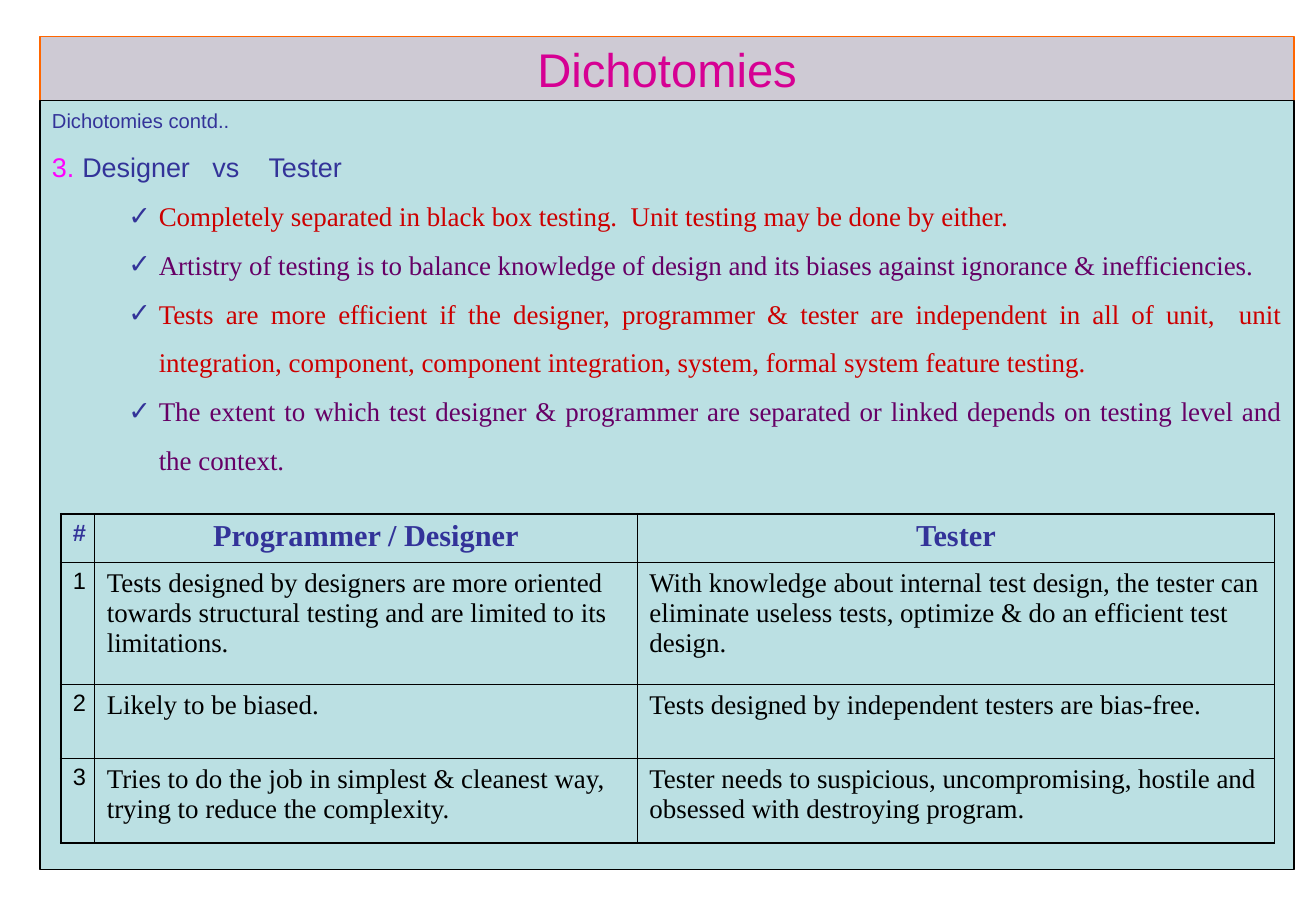
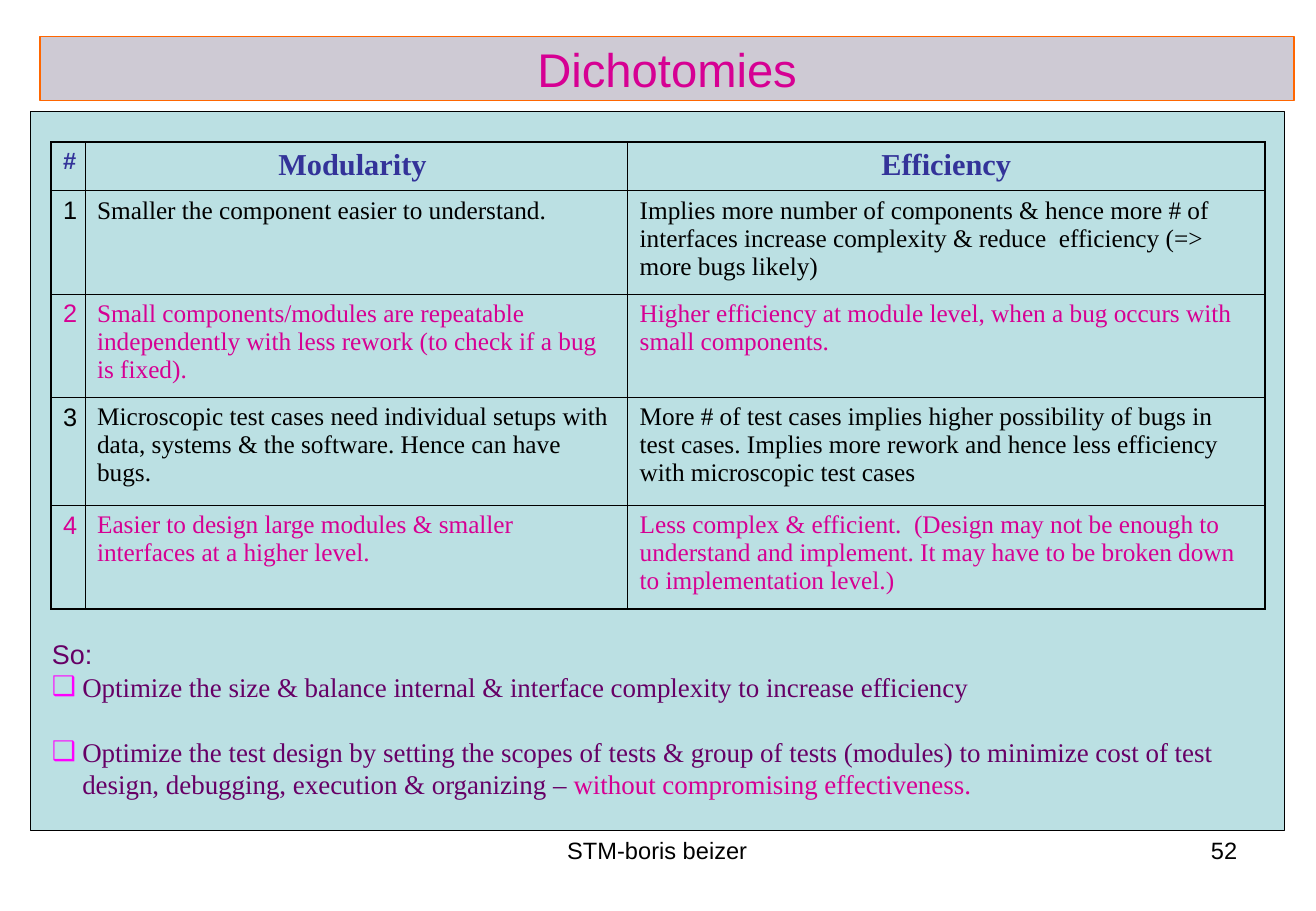
from dataclasses import dataclass

from lxml.etree import SubElement
from pptx import Presentation
from pptx.dml.color import RGBColor
from pptx.enum.shapes import MSO_SHAPE
from pptx.enum.text import MSO_ANCHOR, PP_ALIGN
from pptx.oxml.ns import qn
from pptx.util import Inches, Pt


# Theme: every colour, font and type size
@dataclass(frozen=True)
class Theme:
    sans: str = "Arial"
    serif: str = "Times New Roman"
    black: str = "000000"
    band: str = "CECAD4"
    band_line: str = "FF6600"
    panel: str = "BBE0E3"
    pink: str = "D60093"
    magenta: str = "FF00FF"
    blue: str = "333399"
    red: str = "CC0000"
    purple: str = "660066"
    title_size: int = 28
    heading_size: int = 18
    body_size: int = 16
    small_size: int = 14
    note_size: int = 12
    thin: float = 0.45
    thick: float = 1.08
    line_pitch: float = 19.3
    wide_pitch: float = 28.9


THEME = Theme()


@dataclass(frozen=True)
class Box:
    left: float
    top: float
    width: float
    height: float

    def lengths(self) -> tuple:
        return tuple(Inches(v) for v in (self.left, self.top, self.width, self.height))


@dataclass(frozen=True)
class Bullet:
    color: str
    mark: str = ""
    number: int = 0


@dataclass(frozen=True)
class Comparison:
    """A numbered table that sets two sides against each other."""
    left: float
    top: float
    heads: tuple
    rows: tuple
    row_heights: tuple
    colors: tuple
    number_size: int
    body_size: int


TITLE_BOX = Box(0.33, 0.3, 10.33, 0.53)
FOOTER_BOX = Box(3.7, 6.83, 3.43, 0.52)
NUMBER_BOX = Box(7.76, 6.83, 2.53, 0.52)
COLUMN_WIDTHS = (0.28, 4.47, 5.25)

CHECK = Bullet(THEME.blue, mark="✓")
SQUARE = Bullet(THEME.magenta, mark="❑")
THIRD = Bullet(THEME.magenta, number=3)

DESIGNER_POINTS = (
    "Completely separated in black box testing.  Unit testing may be done by either.",
    "Artistry of testing is to balance knowledge of design and its biases against "
    "ignorance & inefficiencies.",
    "Tests are more efficient if the designer, programmer & tester are independent in "
    "all of unit,  unit integration, component, component integration, system, formal "
    "system feature testing.",
    "The extent to which test designer & programmer are separated or linked depends on "
    "testing level and the context.",
)

DESIGNER_TABLE = Comparison(
    0.5, 4.23, ("#", "Programmer / Designer", "Tester"),
    (
        ("Tests designed by designers are more oriented towards structural testing and "
         "are limited to its limitations.",
         "With knowledge about internal test design, the tester can eliminate useless "
         "tests, optimize & do an efficient test design."),
        ("Likely to be biased.",
         "Tests designed by independent testers are bias-free."),
        ("Tries to do the job in simplest & cleanest way, trying to reduce the complexity.",
         "Tester needs to suspicious, uncompromising, hostile and obsessed with "
         "destroying program."),
    ),
    (0.4, 1, 0.61, 0.7), (THEME.black,), THEME.small_size, THEME.body_size)

MODULARITY_TABLE = Comparison(
    0.42, 1.17, ("#", "Modularity ", "Efficiency"),
    (
        ("Smaller the component easier to understand.",
         "Implies more number of components & hence more # of interfaces increase "
         "complexity & reduce  efficiency (=> more bugs likely)"),
        ("Small components/modules are repeatable independently with less rework (to "
         "check if a bug is fixed).",
         "Higher efficiency at module level, when a bug occurs with small components."),
        ("Microscopic test cases need individual setups with data, systems & the "
         "software. Hence can have bugs.",
         "More # of test cases implies higher possibility of bugs in test cases. Implies "
         "more rework and hence less efficiency with microscopic test cases"),
        ("Easier to design large modules & smaller interfaces at a higher level.",
         "Less complex & efficient.  (Design may not be enough to understand and "
         "implement. It may have to be broken down to implementation level.)"),
    ),
    (0.4, 0.85, 0.85, 0.89, 0.85), (THEME.black, THEME.pink), 15, 15)


# Text
def add_span(para, text: str, *, size: float, color: str, font: str = THEME.sans,
             bold: bool = False) -> None:
    span = para.add_run()
    span.text = text
    span.font.size = Pt(size)
    span.font.name = font
    span.font.bold = bold
    span.font.color.rgb = RGBColor.from_string(color)


def add_bullet(para, bullet: Bullet) -> None:
    properties = para._p.get_or_add_pPr()
    SubElement(SubElement(properties, qn("a:buClr")), qn("a:srgbClr"), val=bullet.color)
    SubElement(properties, qn("a:buFont"), typeface=THEME.sans)
    if bullet.number:
        SubElement(properties, qn("a:buAutoNum"), type="arabicPeriod",
                   startAt=str(bullet.number))
    else:
        SubElement(properties, qn("a:buChar"), char=bullet.mark)


def write(frame, text: str, *, size: float, color: str, font: str = THEME.sans,
          bold: bool = False, align: PP_ALIGN = PP_ALIGN.LEFT, before: float = 0,
          pitch: float = 0, indent: float = 0, bullet: Bullet | None = None):
    """Fill the first paragraph while it is empty, then add new ones."""
    para = frame.paragraphs[0]
    if para.runs:
        para = frame.add_paragraph()
    para.alignment = align
    para.space_before = Pt(before)
    if pitch:
        para.line_spacing = Pt(pitch)
    if bullet:
        properties = para._p.get_or_add_pPr()
        properties.set("marL", str(Inches(indent)))
        properties.set("indent", str(Inches(-0.25)))
        add_bullet(para, bullet)
    add_span(para, text, size=size, color=color, font=font, bold=bold)
    return para


# Parts shared by the slides
def add_text_box(page, box: Box):
    frame = page.shapes.add_textbox(*box.lengths()).text_frame
    frame.word_wrap = True
    return frame


def add_panel(page, box: Box, fill: str, line: str):
    panel = page.shapes.add_shape(MSO_SHAPE.RECTANGLE, *box.lengths())
    panel.shadow.inherit = False
    panel.fill.solid()
    panel.fill.fore_color.rgb = RGBColor.from_string(fill)
    panel.line.color.rgb = RGBColor.from_string(line)
    panel.line.width = Pt(0.75)
    return panel


def add_page(deck, panel_box: Box):
    page = deck.slides.add_slide(deck.slide_layouts[6])
    frame = add_panel(page, TITLE_BOX, THEME.band, THEME.band_line).text_frame
    frame.vertical_anchor = MSO_ANCHOR.MIDDLE
    write(frame, "Dichotomies", size=THEME.title_size, color=THEME.pink,
          align=PP_ALIGN.CENTER)
    add_panel(page, panel_box, THEME.panel, THEME.black)
    return page


def add_footer(page, number: str) -> None:
    for box, text, align in ((FOOTER_BOX, "STM-boris beizer", PP_ALIGN.CENTER),
                             (NUMBER_BOX, number, PP_ALIGN.RIGHT)):
        write(add_text_box(page, box), text, size=THEME.small_size,
              color=THEME.black, align=align)


# Tables
def add_borders(cell, outer: dict[str, bool]) -> None:
    properties = cell._tc.get_or_add_tcPr()
    for side, is_outer in outer.items():
        width = Pt(THEME.thick if is_outer else THEME.thin)
        line = SubElement(properties, qn(f"a:ln{side}"), w=str(width))
        SubElement(SubElement(line, qn("a:solidFill")), qn("a:srgbClr"), val=THEME.black)


def add_comparison(page, data: Comparison) -> None:
    numbered = [(str(i), *row) for i, row in enumerate(data.rows, 1)]
    content = [data.heads, *numbered]
    box = Box(data.left, data.top, sum(COLUMN_WIDTHS), sum(data.row_heights))
    table = page.shapes.add_table(len(content), len(COLUMN_WIDTHS), *box.lengths()).table
    table.first_row = table.horz_banding = False
    for column, width in zip(table.columns, COLUMN_WIDTHS):
        column.width = Inches(width)
    for row, height in zip(table.rows, data.row_heights):
        row.height = Inches(height)

    for r, texts in enumerate(content):
        head = r == 0
        color = THEME.blue if head else data.colors[(r - 1) % len(data.colors)]
        for c, text in enumerate(texts):
            if head:
                size = THEME.heading_size if c else THEME.small_size
            else:
                size = data.body_size if c else data.number_size
            cell = table.cell(r, c)
            add_borders(cell, {"L": c == 0, "R": c == len(texts) - 1,
                               "T": head, "B": r == len(content) - 1})
            cell.fill.background()
            write(cell.text_frame, text, size=size, color=color, bold=head,
                  font=THEME.serif if c else THEME.sans, before=size / 4,
                  align=PP_ALIGN.CENTER if head else PP_ALIGN.LEFT)


# Slides
def build_designer_page(deck) -> None:
    page = add_page(deck, Box(0.33, 0.83, 10.33, 6.33))
    frame = add_text_box(page, Box(0.33, 0.84, 10.33, 3.1))
    write(frame, "Dichotomies contd..", size=THEME.note_size, color=THEME.blue)
    write(frame, "Designer   vs    Tester", size=THEME.body_size, color=THEME.blue,
          before=11, indent=0.25, bullet=THIRD)
    for i, point in enumerate(DESIGNER_POINTS):
        write(frame, point, size=THEME.body_size, font=THEME.serif,
              color=(THEME.red, THEME.purple)[i % 2], align=PP_ALIGN.JUSTIFY,
              pitch=THEME.wide_pitch, indent=0.88, bullet=CHECK)
    add_comparison(page, DESIGNER_TABLE)


def build_modularity_page(deck) -> None:
    page = add_page(deck, Box(0.25, 0.92, 10.33, 5.92))
    add_footer(page, "52")
    frame = add_text_box(page, Box(0.33, 5.2, 10.33, 1.43))
    style = dict(size=THEME.body_size, color=THEME.purple, pitch=THEME.line_pitch)
    point = dict(style, font=THEME.serif, indent=0.25, bullet=SQUARE)
    write(frame, "So:", **style)
    write(frame, "Optimize the size & balance internal & interface complexity to "
          "increase efficiency", **point)
    para = write(frame, "Optimize the test design by setting the scopes of tests & group "
                 "of tests (modules) to minimize cost of test design, debugging, "
                 "execution & organizing – ", before=THEME.line_pitch, **point)
    add_span(para, "without compromising effectiveness.", size=THEME.body_size,
             color=THEME.pink, font=THEME.serif)
    add_comparison(page, MODULARITY_TABLE)


def main() -> None:
    deck = Presentation()
    deck.slide_width, deck.slide_height = Inches(10.84), Inches(7.5)
    build_designer_page(deck)
    build_modularity_page(deck)
    deck.save("out.pptx")


if __name__ == "__main__":
    main()
